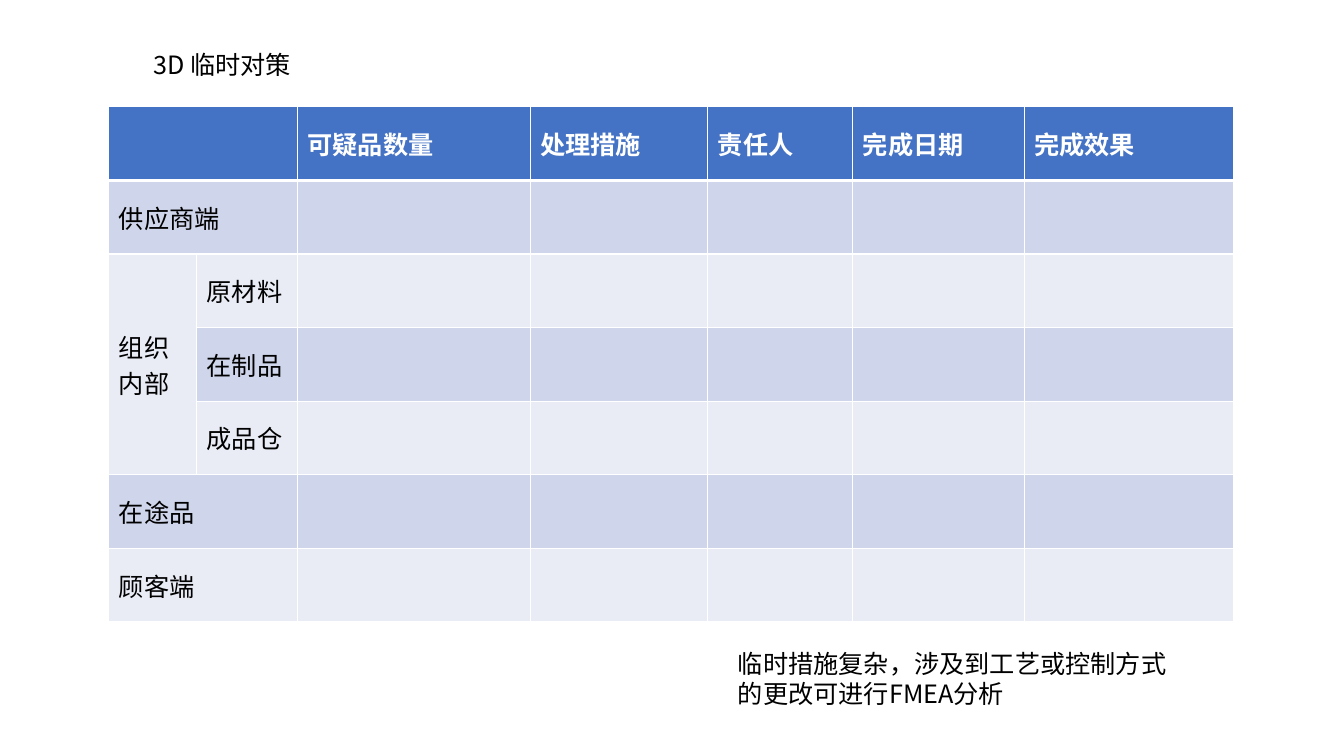
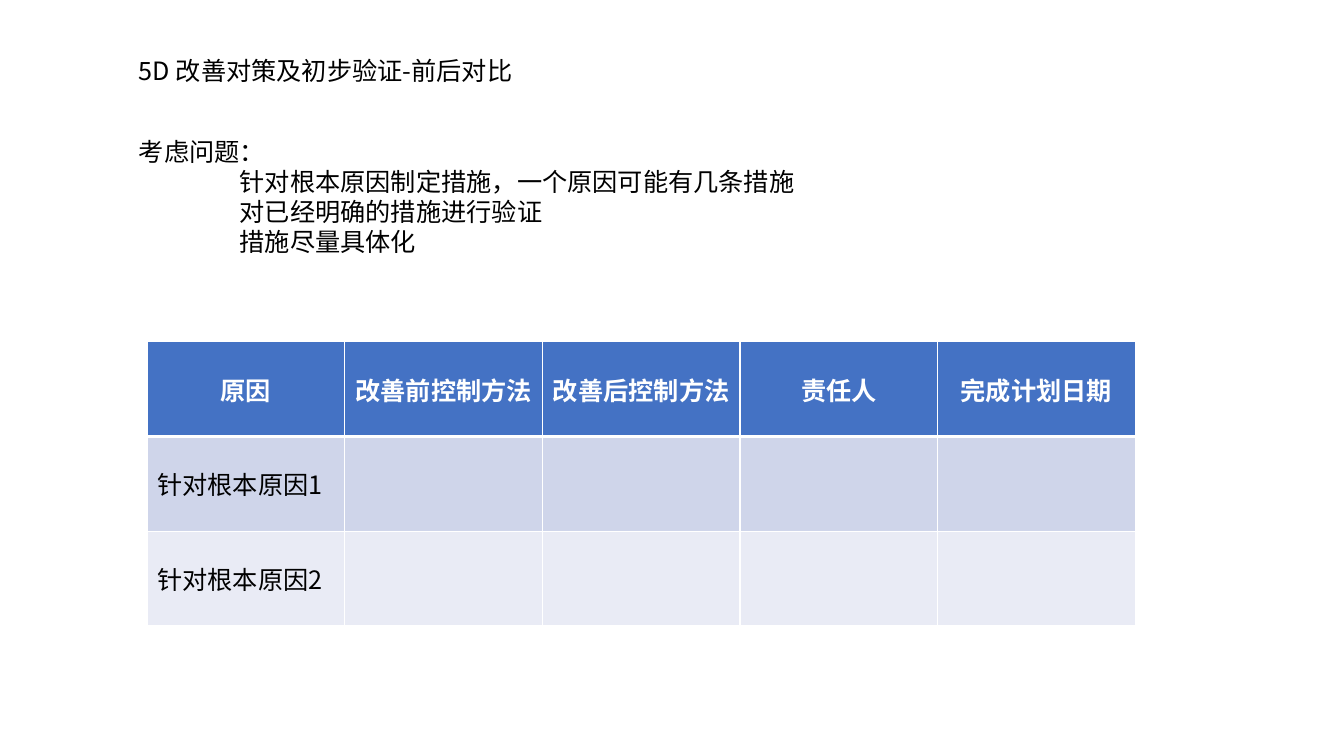
import lxml.etree
import pptx
import pptx.util
import pptx.dml.color
import pptx.enum.text
import pptx.oxml.ns

Inches, Pt = pptx.util.Inches, pptx.util.Pt
RGBColor = pptx.dml.color.RGBColor
ALIGN = pptx.enum.text.PP_ALIGN
qn = pptx.oxml.ns.qn

# Shared style
FONT = "Noto Sans CJK SC"
SIZE = Pt(18)
BLACK = RGBColor(0x00, 0x00, 0x00)
WHITE = RGBColor(0xFF, 0xFF, 0xFF)
BLUE = RGBColor(0x44, 0x72, 0xC4)
BANDS = [RGBColor(0xCF, 0xD5, 0xEA), RGBColor(0xE9, 0xEB, 0xF5)]
THIN, THICK = Pt(1), Pt(3)


def style(para, color=BLACK, bold=False):
    font = para.font
    font.size, font.bold, font.name = SIZE, bold, FONT
    font.color.rgb = color
    props = para._p.pPr.find(qn("a:defRPr"))
    lxml.etree.SubElement(props, qn("a:ea"), typeface=FONT)


def add_text(slide, box, lines, indent=0):
    """Text box; lines after the first are indented."""
    shape = slide.shapes.add_textbox(*map(Inches, box))
    frame = shape.text_frame
    frame.word_wrap = True
    frame.auto_size = pptx.enum.text.MSO_AUTO_SIZE.SHAPE_TO_FIT_TEXT
    frame.text = "\n".join(lines)
    for i, para in enumerate(frame.paragraphs):
        style(para)
        if i:
            para._p.pPr.set("marL", str(Inches(indent)))
            para._p.pPr.set("indent", "0")


def add_edge(cell, side, width):
    """Solid white cell border."""
    props = cell._tc.get_or_add_tcPr()
    line = lxml.etree.Element(qn("a:" + side), w=str(width))
    fill = lxml.etree.SubElement(line, qn("a:solidFill"))
    lxml.etree.SubElement(fill, qn("a:srgbClr"), val=str(WHITE))
    props.append(line)


def add_grid(slide, left, top, widths, height, rows, align, merges=()):
    """Table with a blue header and two alternating band colours."""
    frame = slide.shapes.add_table(
        len(rows), len(widths), Inches(left), Inches(top),
        Inches(sum(widths)), Inches(height * len(rows)))
    table = frame.table
    table.horz_banding = False
    for col, width in zip(table.columns, widths):
        col.width = Inches(width)
    for r, row in enumerate(rows):
        table.rows[r].height = Inches(height)
        for c in range(len(widths)):
            cell = table.cell(r, c)
            cell.vertical_anchor = pptx.enum.text.MSO_ANCHOR.MIDDLE
            # Borders precede the fill in the cell's properties
            add_edge(cell, "lnL", THIN)
            add_edge(cell, "lnR", THIN)
            add_edge(cell, "lnT", THICK if r == 1 else THIN)
            add_edge(cell, "lnB", THICK if r == 0 else THIN)
            cell.fill.solid()
            cell.fill.fore_color.rgb = BANDS[(r - 1) % 2] if r else BLUE
            para = cell.text_frame.paragraphs[0]
            if c < len(row):
                para.text = row[c]
            style(para, BLACK if r else WHITE, r == 0)
            if r == 0:
                para.alignment = align
    for first, last in merges:
        table.cell(*first).merge(table.cell(*last))


def interim(slide):
    """3D: interim measures."""
    rows = [
        ["", "", "可疑品数量", "处理措施", "责任人", "完成日期", "完成效果"],
        ["供应商端"],
        ["组织内部", "原材料"],
        ["", "在制品"],
        ["", "成品仓"],
        ["在途品"],
        ["顾客端"],
    ]
    wide = [((r, 0), (r, 1)) for r in (0, 1, 5, 6)]
    add_grid(slide, 1.08, 1.06, [0.87, 1, 2.31, 1.76, 1.44, 1.7, 2.08],
             0.73, rows, ALIGN.LEFT, wide + [((2, 0), (4, 0))])
    add_text(slide, (1.42, 0.44, 3.72, 0.4), ["3D 临时对策"])
    add_text(slide, (7.22, 6.38, 4.68, 0.71),
             ["临时措施复杂，涉及到工艺或控制方式的更改可进行FMEA分析"])


def improve(slide):
    """5D: improvement and first check."""
    add_text(slide, (1.28, 0.5, 4.16, 0.4), ["5D 改善对策及初步验证-前后对比"])
    add_text(slide, (1.28, 1.3, 6.86, 1.31), [
        "考虑问题：",
        "针对根本原因制定措施，一个原因可能有几条措施",
        "对已经明确的措施进行验证",
        "措施尽量具体化",
    ], indent=1)
    rows = [
        ["原因", "改善前控制方法", "改善后控制方法", "责任人", "完成计划日期"],
        ["针对根本原因1"],
        ["针对根本原因2"],
    ]
    add_grid(slide, 1.46, 3.39, [1.96] * 5, 0.94, rows, ALIGN.CENTER)


deck = pptx.Presentation()
deck.slide_width, deck.slide_height = Inches(13.33), Inches(7.5)
for build in (interim, improve):
    build(deck.slides.add_slide(deck.slide_layouts[6]))
deck.save("out.pptx")
